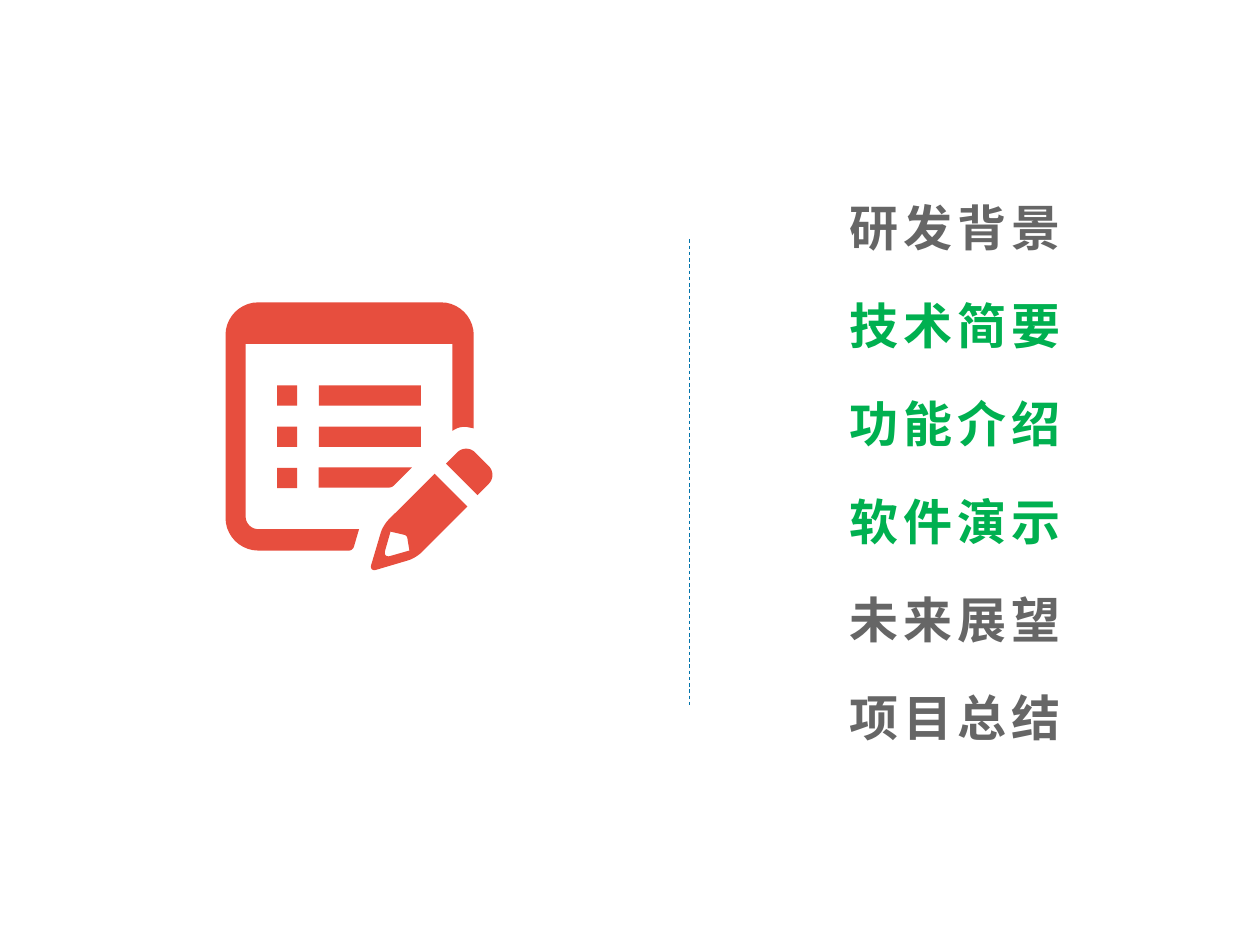
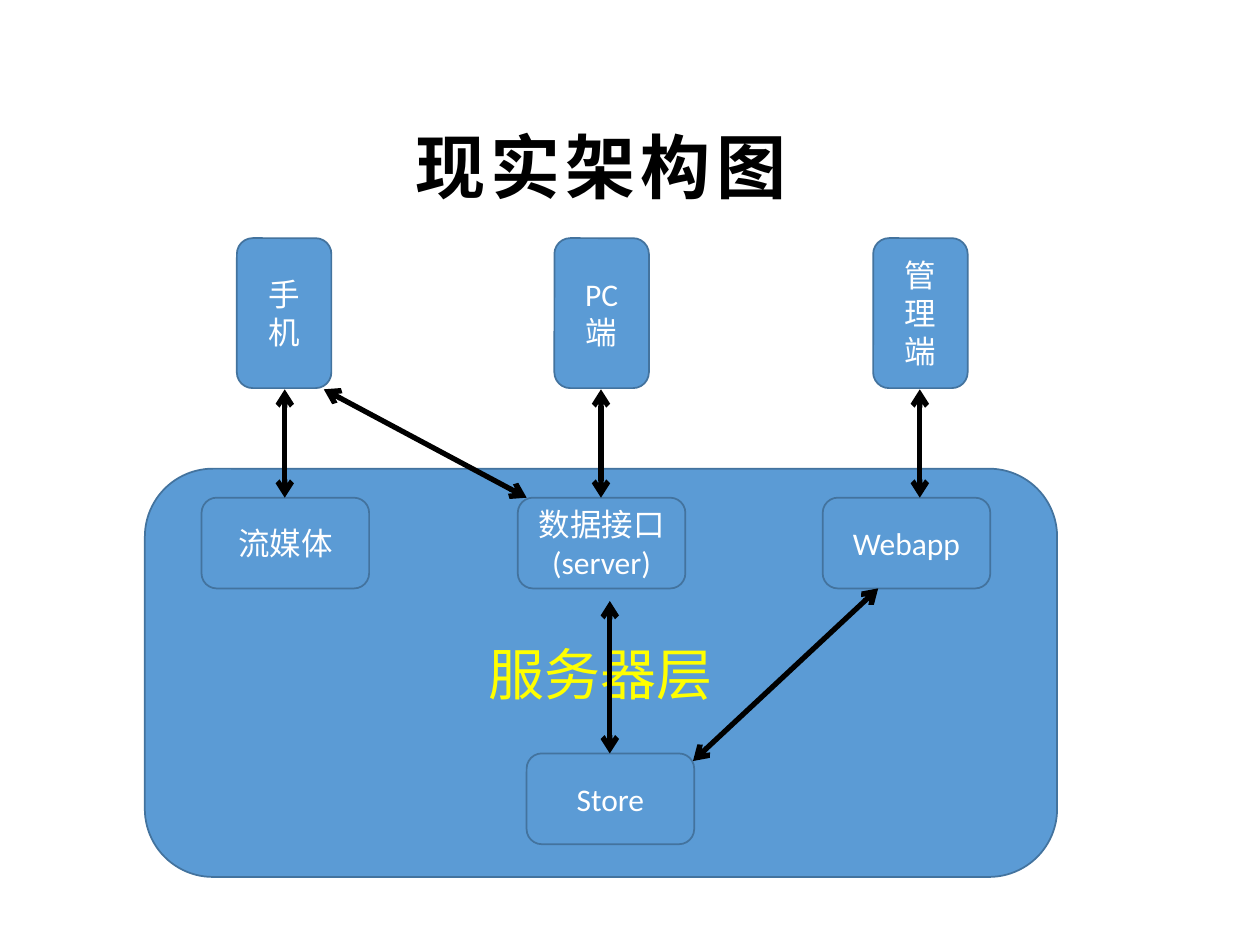
import pptx
import pptx.util
import pptx.dml.color
import pptx.enum.dml
import pptx.enum.shapes
import pptx.enum.text
import pptx.oxml.ns
import lxml.etree

RGBColor = pptx.dml.color.RGBColor
SHAPES = pptx.enum.shapes.MSO_SHAPE
ALIGN = pptx.enum.text.PP_ALIGN
ANCHOR = pptx.enum.text.MSO_ANCHOR

RED = RGBColor(0xE7, 0x4E, 0x3E)
GREEN = RGBColor(0x00, 0xB0, 0x50)
GREY = RGBColor(0x66, 0x66, 0x66)
TEAL = RGBColor(0x01, 0x74, 0xAB)
BLUE = RGBColor(0x5B, 0x9B, 0xD5)
NAVY = RGBColor(0x43, 0x73, 0x9E)
YELLOW = RGBColor(0xFF, 0xFF, 0x00)
WHITE = RGBColor(0xFF, 0xFF, 0xFF)
BLACK = RGBColor(0x00, 0x00, 0x00)

CJK_FONT = "Noto Sans CJK SC"
LATIN_FONT = "Calibri"

WIDTH, HEIGHT = pptx.util.Inches(10), pptx.util.Inches(7.5)
COLUMNS, ROWS = 100, 75


def col(count):
    return round(WIDTH * count / COLUMNS)


def row(count):
    return round(HEIGHT * count / ROWS)


def place(left, top, width, height):
    return col(left), row(top), col(width), row(height)


def add_xml(parent, tag, **attributes):
    return lxml.etree.SubElement(parent, pptx.oxml.ns.qn(tag), attributes)


def add_run(paragraph, text, size, color, font=LATIN_FONT, heading=False):
    run = paragraph.add_run()
    run.text = text
    run.font.size = pptx.util.Pt(size)
    run.font.name = font
    run.font.color.rgb = color
    properties = run.font._element
    add_xml(properties, "a:ea", typeface=CJK_FONT)
    if heading:
        run.font.bold = True
        properties.set("spc", "300")


def add_heading(slide, text, area, size, color, align=ALIGN.LEFT):
    box = slide.shapes.add_textbox(*place(*area))
    box.text_frame.word_wrap = True
    paragraph = box.text_frame.paragraphs[0]
    paragraph.alignment = align
    add_run(paragraph, text, size, color, CJK_FONT, heading=True)


def add_node(slide, lines, area, size=18, color=WHITE):
    node = slide.shapes.add_shape(SHAPES.ROUNDED_RECTANGLE, *place(*area))
    node.shadow.inherit = False
    node.fill.solid()
    node.fill.fore_color.rgb = BLUE
    node.line.color.rgb = NAVY
    node.line.width = pptx.util.Pt(1)
    frame = node.text_frame
    frame.word_wrap = True
    frame.vertical_anchor = ANCHOR.MIDDLE
    for index, line in enumerate(lines):
        paragraph = frame.add_paragraph() if index else frame.paragraphs[0]
        paragraph.alignment = ALIGN.CENTER
        add_run(paragraph, line, size, color)


def add_line(slide, start, end, color, width):
    line = slide.shapes.add_connector(
        pptx.enum.shapes.MSO_CONNECTOR.STRAIGHT,
        col(start[0]), row(start[1]), col(end[0]), row(end[1]))
    line.line.color.rgb = color
    line.line.width = pptx.util.Pt(width)
    add_xml(line._element.spPr, "a:effectLst")
    return line


def add_link(slide, start, end):
    link = add_line(slide, start, end, BLACK, 3)
    outline = link.line._get_or_add_ln()
    for tag in ("a:headEnd", "a:tailEnd"):
        add_xml(outline, tag, type="arrow")


def paint(part):
    part.shadow.inherit = False
    part.fill.solid()
    part.fill.fore_color.rgb = RED
    part.line.fill.background()


def toward(origin, target, share):
    return tuple(a + (b - a) * share for a, b in zip(origin, target))


def distance(a, b):
    return ((a[0] - b[0]) ** 2 + (a[1] - b[1]) ** 2) ** 0.5


def bend(start, corner, end, steps=10):
    first, second = toward(start, corner, 0.55), toward(end, corner, 0.55)
    for step in range(steps + 1):
        t = step / steps
        weights = ((1 - t) ** 3, 3 * t * (1 - t) ** 2, 3 * t * t * (1 - t), t ** 3)
        yield tuple(sum(w * p[axis] for w, p in zip(weights, (start, first, second, end)))
                    for axis in (0, 1))


def rounded(corners):
    points = []
    for index, (x, y, radius) in enumerate(corners):
        corner = (x, y)
        before = corners[index - 1][:2]
        after = corners[(index + 1) % len(corners)][:2]
        if radius:
            start = toward(corner, before, radius / distance(corner, before))
            end = toward(corner, after, radius / distance(corner, after))
            points.extend(bend(start, corner, end))
        else:
            points.append(corner)
    return [(col(x), row(y)) for x, y in points]


def add_outline(icon, *contours):
    first, *others = [rounded(corners) for corners in contours]
    builder = icon.shapes.build_freeform(*first[0])
    builder.add_line_segments(first[1:])
    for points in others:
        builder.move_to(*points[0])
        builder.add_line_segments(points[1:])
    paint(builder.convert_to_shape())


def add_notepad(slide):
    icon = slide.shapes.add_group_shape()
    page = [(28.5, 42, 0), (28, 43.7, 0.3), (17.9, 43.7, 2.6), (17.9, 24, 2.6),
            (37.6, 24, 2.6), (37.6, 34, 0), (36.6, 33.8, 0.5), (35.9, 34.2, 0),
            (35.9, 27.3, 0), (19.5, 27.3, 0), (19.5, 42, 1)]
    pencil = [(34.5, 37.6, 0), (37.1, 40.2, 0), (33, 44.3, 0.6), (29.3, 45.4, 0.6),
              (30.4, 41.7, 0.6)]
    tip = [(31, 42.2, 0), (32.3, 42.5, 0.2), (32.5, 43.7, 0), (30.4, 44.3, 0.6)]
    eraser = [(35.4, 36.8, 0), (37, 35.2, 1), (39.5, 37.7, 1), (37.9, 39.3, 0)]
    cut_line = [(25.3, 37.1, 0), (32.7, 37.1, 0), (31.1, 38.7, 0.2), (25.3, 38.7, 0)]
    for contours in ([page], [pencil, tip], [eraser], [cut_line]):
        add_outline(icon, *contours)
    bullets = [(22, 30.6 + 3.27 * line, 1.6) for line in range(3)]
    lines = [(25.3, top, 8.1) for _, top, _ in bullets[:2]]
    for left, top, width in bullets + lines:
        paint(icon.shapes.add_shape(SHAPES.RECTANGLE, *place(left, top, width, 1.6)))


def build_agenda(slide):
    divider = add_line(slide, (54.7, 19), (54.7, 56), TEAL, 0.5)
    divider.line.dash_style = pptx.enum.dml.MSO_LINE.DASH
    topics = [("研发背景", GREY), ("技术简要", GREEN), ("功能介绍", GREEN),
              ("软件演示", GREEN), ("未来展望", GREY), ("项目总结", GREY)]
    for index, (topic, color) in enumerate(topics):
        add_heading(slide, topic, (66.4, 15.2 + 7.78 * index, 19.6, 5.7), 28, color)
    add_notepad(slide)


def build_architecture(slide):
    add_heading(slide, "现实架构图", (25.7, 9.3, 44, 7.7), 40, BLACK, ALIGN.CENTER)
    clients = [(["手机"], 18.8), (["PC", "端"], 44), (["管理端"], 69.3)]
    for lines, left in clients:
        add_node(slide, lines, (left, 18.9, 7.5, 11.9))
    add_node(slide, ["服务器层"], (11.5, 37.2, 72.4, 32.4), 32, YELLOW)
    services = [(["流媒体"], 16, 39.5), (["数据接口", "(server)"], 41.1, 39.5),
                (["Webapp"], 65.3, 39.5), (["Store"], 41.8, 59.8)]
    for lines, left, top in services:
        add_node(slide, lines, (left, top, 13.3, 7.2))
    client_bottom, service_top = 30.9, 39.5
    for center in (22.6, 47.7, 73):
        add_link(slide, (center, client_bottom), (center, service_top))
    add_link(slide, (25.7, client_bottom), (41.8, service_top))
    add_link(slide, (48.4, 47.7), (48.4, 59.8))
    add_link(slide, (69.7, 46.7), (55, 60.4))


def main():
    deck = pptx.Presentation()
    deck.slide_width, deck.slide_height = WIDTH, HEIGHT
    for build in (build_agenda, build_architecture):
        build(deck.slides.add_slide(deck.slide_layouts[6]))
    deck.save("out.pptx")


if __name__ == "__main__":
    main()
